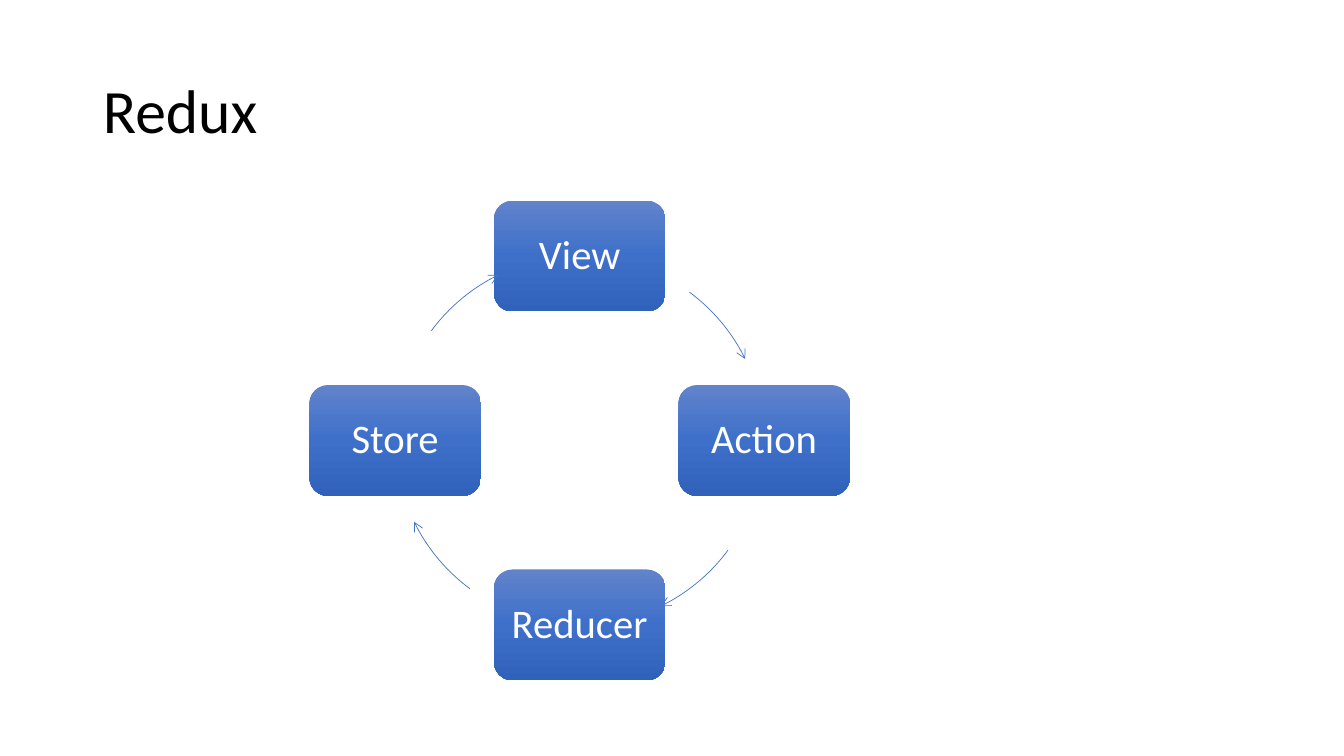
import copy
import math

import pptx
import pptx.dml.color
import pptx.enum.shapes
import pptx.enum.text
import pptx.oxml
import pptx.oxml.ns
import pptx.util

Inches = pptx.util.Inches
Pt = pptx.util.Pt
SHAPES = pptx.enum.shapes.MSO_SHAPE
ALIGN = pptx.enum.text.PP_ALIGN
MIDDLE = pptx.enum.text.MSO_ANCHOR.MIDDLE

THEME = {
    "font": "Calibri",
    "title": {"size": 44, "color": "000000"},
    "step": {"size": 29, "color": "FFFFFF"},
    "gradient": [(0, "6183CB"), (0.5, "3E70CA"), (1, "3062BB")],
    "arrow": {"color": "4472C4", "width": 0.5},
}


def rgb(value):
    return pptx.dml.color.RGBColor.from_string(value)


def apply_format(target, values):
    for name, value in values.items():
        setattr(target, name, value)


class CycleSlide:
    def __init__(self, deck, theme):
        self.theme = theme
        self.slide = deck.slides.add_slide(deck.slide_layouts[5])

    def label(self, shape, wording, style, align, inset_x, inset_y):
        frame = shape.text_frame
        frame.text = wording
        apply_format(frame, {
            "word_wrap": True,
            "vertical_anchor": MIDDLE,
            "auto_size": pptx.enum.text.MSO_AUTO_SIZE.NONE,
            "margin_left": Inches(inset_x),
            "margin_right": Inches(inset_x),
            "margin_top": Inches(inset_y),
            "margin_bottom": Inches(inset_y),
        })
        paragraph = frame.paragraphs[0]
        apply_format(paragraph, {"alignment": align, "line_spacing": 0.9})
        font = paragraph.runs[0].font
        apply_format(font, {"name": self.theme["font"], "size": Pt(style["size"])})
        font.color.rgb = rgb(style["color"])

    def title(self, wording, left, top, width, height):
        heading = self.slide.shapes.title
        apply_format(heading, {
            "left": Inches(left), "top": Inches(top),
            "width": Inches(width), "height": Inches(height),
        })
        self.label(heading, wording, self.theme["title"], ALIGN.LEFT, 0.1, 0.05)

    def shape(self, kind, center_x, center_y, width, height):
        shape = self.slide.shapes.add_shape(
            kind, Inches(center_x - width / 2), Inches(center_y - height / 2),
            Inches(width), Inches(height))
        shape.shadow.inherit = False
        return shape

    def step(self, wording, center_x, center_y, width, height):
        box = self.shape(SHAPES.ROUNDED_RECTANGLE, center_x, center_y, width, height)
        box.line.fill.background()
        box.fill.gradient()
        box.fill.gradient_angle = 270
        stops = box.element.spPr.find(".//" + pptx.oxml.ns.qn("a:gsLst"))
        stops.append(copy.deepcopy(stops[-1]))
        for stop, (position, color) in zip(box.fill.gradient_stops, self.theme["gradient"]):
            stop.position = position
            stop.color.rgb = rgb(color)
        self.label(box, wording, self.theme["step"], ALIGN.CENTER, 0.12, 0.12)

    def arrow(self, center_x, center_y, radius, start, end):
        arc = self.shape(SHAPES.ARC, center_x, center_y, 2 * radius, 2 * radius)
        for index, degrees in enumerate((start, end)):
            arc.adjustments[index] = degrees % 360 * 0.6
        arc.fill.background()
        arc.line.color.rgb = rgb(self.theme["arrow"]["color"])
        arc.line.width = Pt(self.theme["arrow"]["width"])
        outline = arc.element.spPr.find(pptx.oxml.ns.qn("a:ln"))
        outline.append(pptx.oxml.parse_xml(
            f'<a:tailEnd {pptx.oxml.ns.nsdecls("a")} type="arrow"/>'))


def main():
    deck = pptx.Presentation()
    apply_format(deck, {"slide_width": Inches(13.33), "slide_height": Inches(7.5)})
    redux = CycleSlide(deck, THEME)
    redux.title("Redux", 0.92, 0.4, 11.5, 1.45)
    center_x, center_y, radius = 5.75, 4.37, 1.83
    for index, wording in enumerate(("View", "Action", "Reducer", "Store")):
        turn = 90 * index
        angle = math.radians(turn - 90)
        redux.step(wording, center_x + radius * math.cos(angle),
                   center_y + radius * math.sin(angle), 1.7, 1.1)
        redux.arrow(center_x, center_y, radius, turn - 53.5, turn - 26.2)
    deck.save("out.pptx")


if __name__ == "__main__":
    main()
